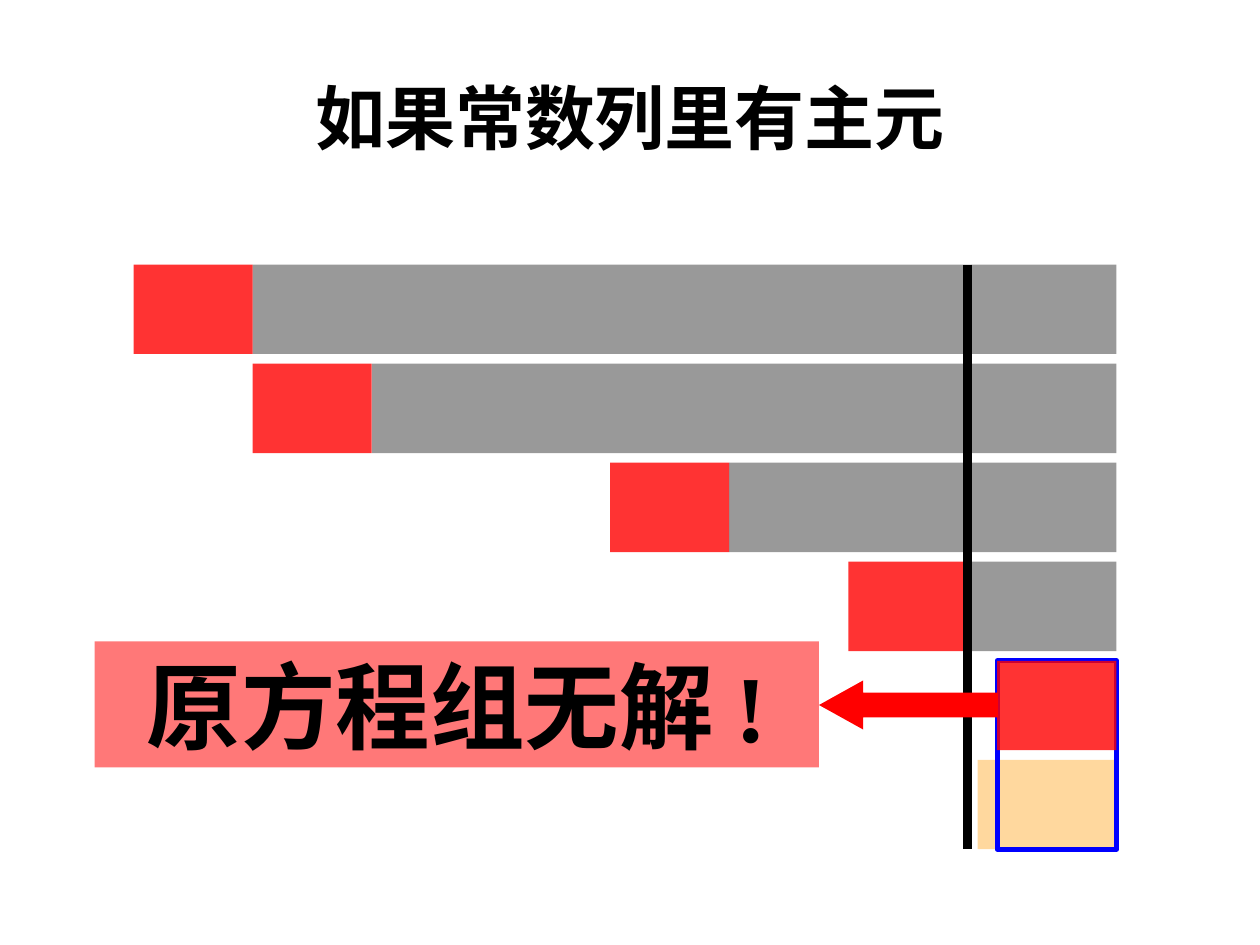
"""Build a slide on a system whose constant column holds a pivot."""
from lxml import etree
from pptx import Presentation, util as u
from pptx.dml import color
from pptx.enum import shapes, text
from pptx.oxml import ns


def paint(target, hex_code, opacity=100):
    if hasattr(target, "solid"):
        target.solid()
        target.fore_color.rgb = color.RGBColor.from_string(hex_code)
    else:
        target.rgb = color.RGBColor.from_string(hex_code)
    if opacity < 100:
        shade = target._xPr.find(".//" + ns.qn("a:srgbClr"))
        etree.SubElement(shade, ns.qn("a:alpha"), val=str(opacity * 1000))


def add_block(kind, left, top, width, height, hex_code=None, opacity=100):
    block = slide.shapes.add_shape(
        kind, *[u.Inches(length) for length in (left, top, width, height)])
    block.shadow.inherit = False
    block.line.fill.background()
    if hex_code:
        paint(block.fill, hex_code, opacity)
    else:
        block.fill.background()
    return block


RED, GRAY, ORANGE, BLUE, BLACK = "FF0000", "808080", "FF9900", "0000FF", "000000"
RECT = shapes.MSO_SHAPE.RECTANGLE

deck = Presentation()
deck.slide_width, deck.slide_height = u.Inches(10), u.Inches(7.5)
slide = deck.slides.add_slide(deck.slide_layouts[6])

left, right, top, bottom = 1.06, 8.86, 2.1, 6.74
row_height = 0.71
row_step = (bottom - top - row_height) / 5
pivot_width = (right - left) / 8.25
divider_x = 7.68
row_tops = [top + row * row_step for row in range(6)]
pivots = [(left + column * pivot_width, row_top)
          for column, row_top in zip((0, 1, 4, 6), row_tops)]
constant_x = right - pivot_width

title = slide.shapes.add_textbox(
    u.Inches(0.5), u.Inches(0.3), u.Inches(9), u.Inches(1.25))

for pivot_x, row_top in pivots:
    rest_x = pivot_x + pivot_width
    add_block(RECT, rest_x, row_top, right - rest_x, row_height, GRAY, 80)
add_block(RECT, 7.76, row_tops[5], right - 7.76, row_height, ORANGE, 38)
for pivot_x, row_top in pivots:
    add_block(RECT, pivot_x, row_top, pivot_width, row_height, RED, 80)

constant_frame = add_block(
    RECT, constant_x, row_tops[4], pivot_width, bottom - row_tops[4])
paint(constant_frame.line.fill, BLUE)
constant_frame.line.width = u.Pt(3)
add_block(RECT, constant_x, row_tops[4], pivot_width, row_height, RED, 80)

divider = slide.shapes.add_connector(
    shapes.MSO_CONNECTOR.STRAIGHT, u.Inches(divider_x), u.Inches(top),
    u.Inches(divider_x), u.Inches(bottom))
paint(divider.line.fill, BLACK)
divider.line.width = u.Pt(5.5)
etree.SubElement(divider._element.spPr, ns.qn("a:effectLst"))

conclusion = add_block(RECT, 0.75, 5.09, 5.75, 1, RED, 53)

arrow = add_block(shapes.MSO_SHAPE.RIGHT_ARROW, 6.5, 5.4, 1.42, 0.39, RED)
arrow.rotation = 180
arrow.adjustments[0], arrow.adjustments[1] = 0.5, 0.9

for holder, wording, size in (
        (title, "如果常数列里有主元", 40), (conclusion, "原方程组无解 !", 54)):
    frame = holder.text_frame
    frame.word_wrap = True
    frame.vertical_anchor = text.MSO_ANCHOR.MIDDLE
    line = frame.paragraphs[0]
    line.alignment = text.PP_ALIGN.CENTER
    run = line.add_run()
    run.text = wording
    style = {"name": "Times New Roman", "size": u.Pt(size), "bold": True}
    for attribute, value in style.items():
        setattr(run.font, attribute, value)
    paint(run.font.fill, BLACK)

deck.save("out.pptx")
